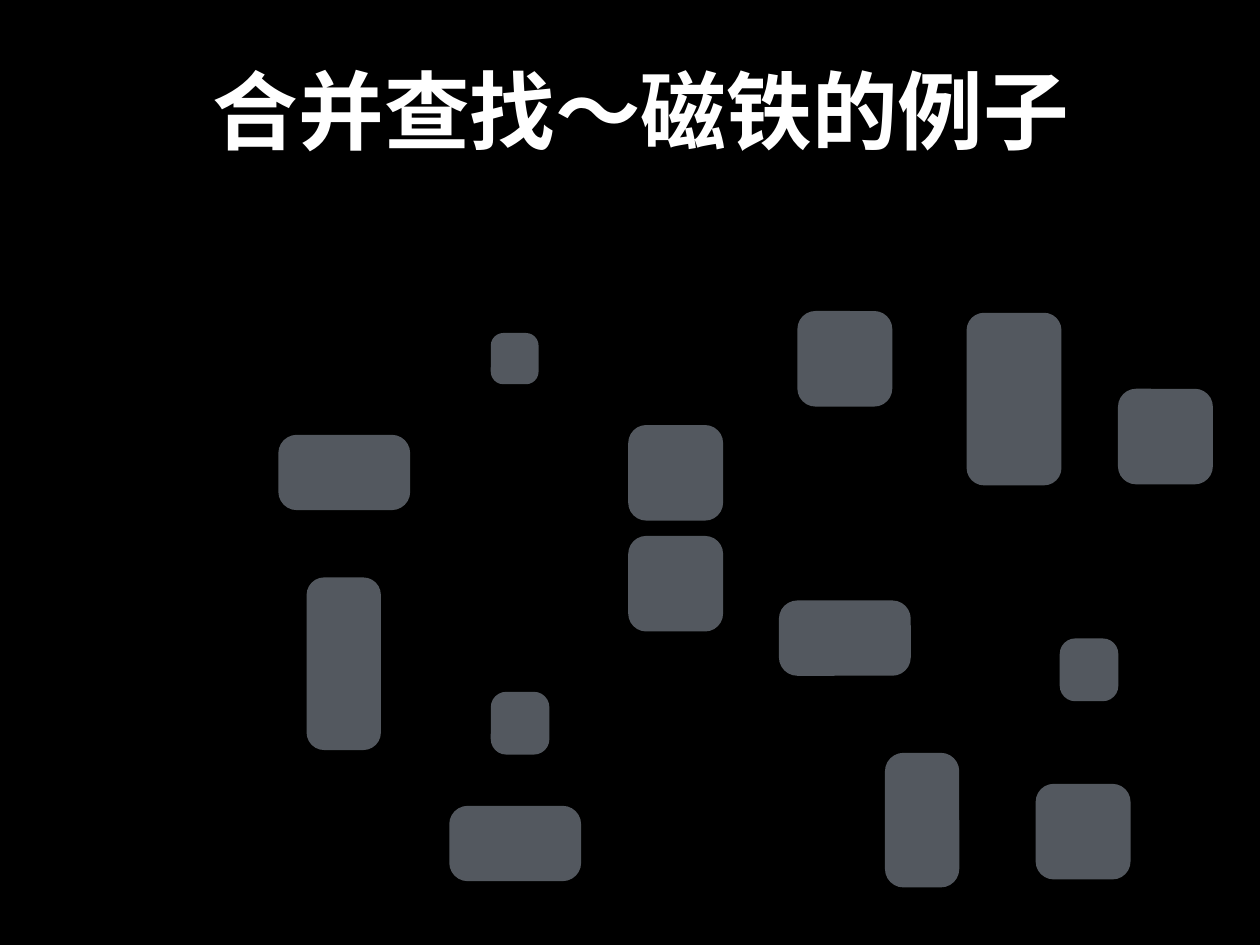
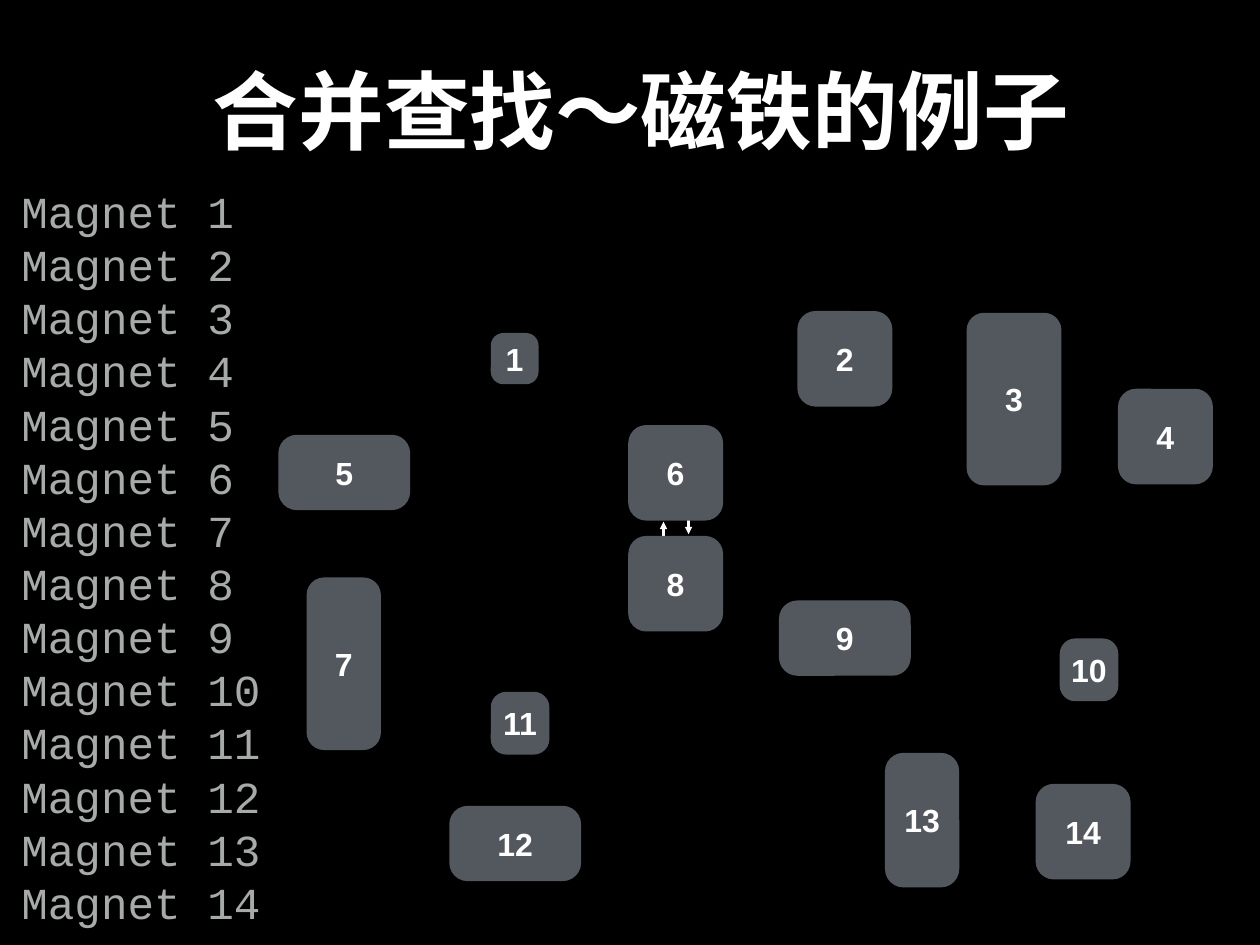
from lxml import etree
from pptx import Presentation
from pptx.dml.color import RGBColor
from pptx.enum import shapes, text
from pptx.oxml.ns import qn
from pptx.util import Cm, Pt

# Content
TITLE = "合并查找～磁铁的例子"
KINDS = {  # width, height (cm), corner ratio
    "tiny": (1.37, 1.47, 0.264),
    "small": (1.68, 1.8, 0.264),
    "square": (2.72, 2.74, 0.19),
    "wide": (3.78, 2.16, 0.244),
    "tall": (2.72, 4.95, 0.184),
    "slim": (2.13, 4.95, 0.236),
    "short": (2.13, 3.86, 0.248),
}
MAGNETS = [  # kind, left, top (cm), in numbering order
    ("tiny", 14.07, 9.55),
    ("square", 22.86, 8.92),
    ("tall", 27.71, 8.97),
    ("square", 32.05, 11.15),
    ("wide", 7.98, 12.47),
    ("square", 18.01, 12.19),
    ("slim", 8.79, 16.56),
    ("square", 18.01, 15.37),
    ("wide", 22.33, 17.22),
    ("small", 30.38, 18.31),
    ("small", 14.07, 19.84),
    ("wide", 12.88, 23.11),
    ("short", 25.37, 21.59),
    ("square", 29.69, 22.48),
]
PULLS = [(19.02, 15.47, 14.96), (19.74, 14.83, 15.32)]  # x, from y, to y

# Shared look
COLORS = {"ground": "000000", "magnet": "53585F", "light": "FFFFFF", "list": "A6AAA8"}
TITLE_AREA = (-3.99, 0.13, 44.73, 5.99)
LIST_AREA = (0.46, 5.69, 7.39, 20.52)
INSET = Cm(0.15)


def color(name):
    return RGBColor.from_string(COLORS[name])


def place(box, area):
    box.left, box.top, box.width, box.height = (Cm(value) for value in area)


def write(box, lines, size, font, ink="light", bold=True, align=text.PP_ALIGN.CENTER,
          spacing=None, fit=text.MSO_AUTO_SIZE.NONE):
    frame = box.text_frame
    frame.text = "\n".join(lines)
    frame.word_wrap = True
    frame.auto_size = fit
    frame.vertical_anchor = text.MSO_ANCHOR.MIDDLE
    frame.margin_left = frame.margin_right = frame.margin_top = frame.margin_bottom = INSET
    for para in frame.paragraphs:
        para.alignment = align
        para.space_before = Pt(0)
        para.line_spacing = spacing
        for span in para.runs:
            span.font.size, span.font.name, span.font.bold = Pt(size), font, bold
            span.font.color.rgb = color(ink)


def add_page(layout):
    page = deck.slides.add_slide(deck.slide_layouts.get_by_name(layout))
    place(page.shapes.title, TITLE_AREA)
    write(page.shapes.title, [TITLE], 69.6, "Courier New")
    return page


def add_magnets(page, numbered):
    for number, (kind, left, top) in enumerate(MAGNETS, 1):
        width, height, corner = KINDS[kind]
        magnet = page.shapes.add_shape(shapes.MSO_SHAPE.ROUNDED_RECTANGLE,
                                       Cm(left), Cm(top), Cm(width), Cm(height))
        magnet.adjustments[0] = corner
        magnet.shadow.inherit = False
        magnet.fill.solid()
        magnet.fill.fore_color.rgb = color("magnet")
        magnet.line.fill.background()
        if numbered:
            write(magnet, [str(number)], 26, "Arial")


def add_pull(page, x, start, end):
    arrow = page.shapes.add_connector(shapes.MSO_CONNECTOR.STRAIGHT,
                                      Cm(x), Cm(start), Cm(x), Cm(end))
    arrow.line.width = Pt(2)
    arrow.line.color.rgb = color("light")
    etree.SubElement(arrow.line._get_or_add_ln(), qn("a:tailEnd"), type="triangle")
    etree.SubElement(arrow._element.spPr, qn("a:effectLst"))


def add_magnet_list(page):
    box = page.placeholders[1]
    place(box, LIST_AREA)
    names = [f"Magnet {number}" for number in range(1, len(MAGNETS) + 1)]
    write(box, names, 36, "Courier New", ink="list", bold=False,
          align=text.PP_ALIGN.LEFT, spacing=Pt(43.2),
          fit=text.MSO_AUTO_SIZE.SHAPE_TO_FIT_TEXT)
    for para in box.text_frame.paragraphs:
        settings = para._p.get_or_add_pPr()
        settings.set("marL", "0")
        settings.set("indent", "0")
        etree.SubElement(settings, qn("a:buNone"))


deck = Presentation()
deck.slide_width, deck.slide_height = Cm(36.12), Cm(27.1)
ground = deck.slide_master.background.fill
ground.solid()
ground.fore_color.rgb = color("ground")

# Slide 1: loose magnets
add_magnets(add_page("Title Only"), numbered=False)

# Slide 2: numbered magnets and the pair that attracts
page = add_page("Title and Content")
for pull in PULLS:
    add_pull(page, *pull)
add_magnets(page, numbered=True)
add_magnet_list(page)

deck.save("out.pptx")
